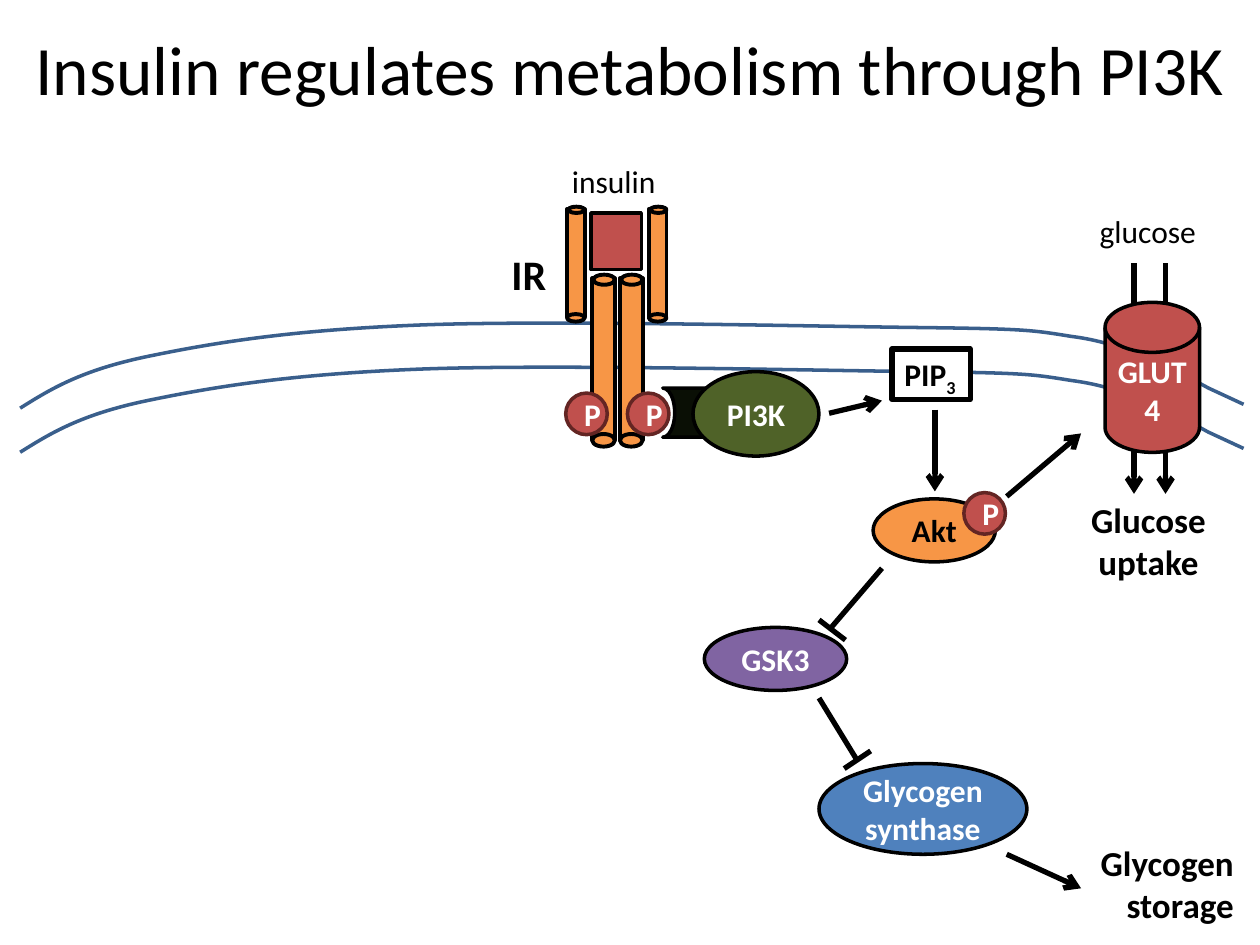
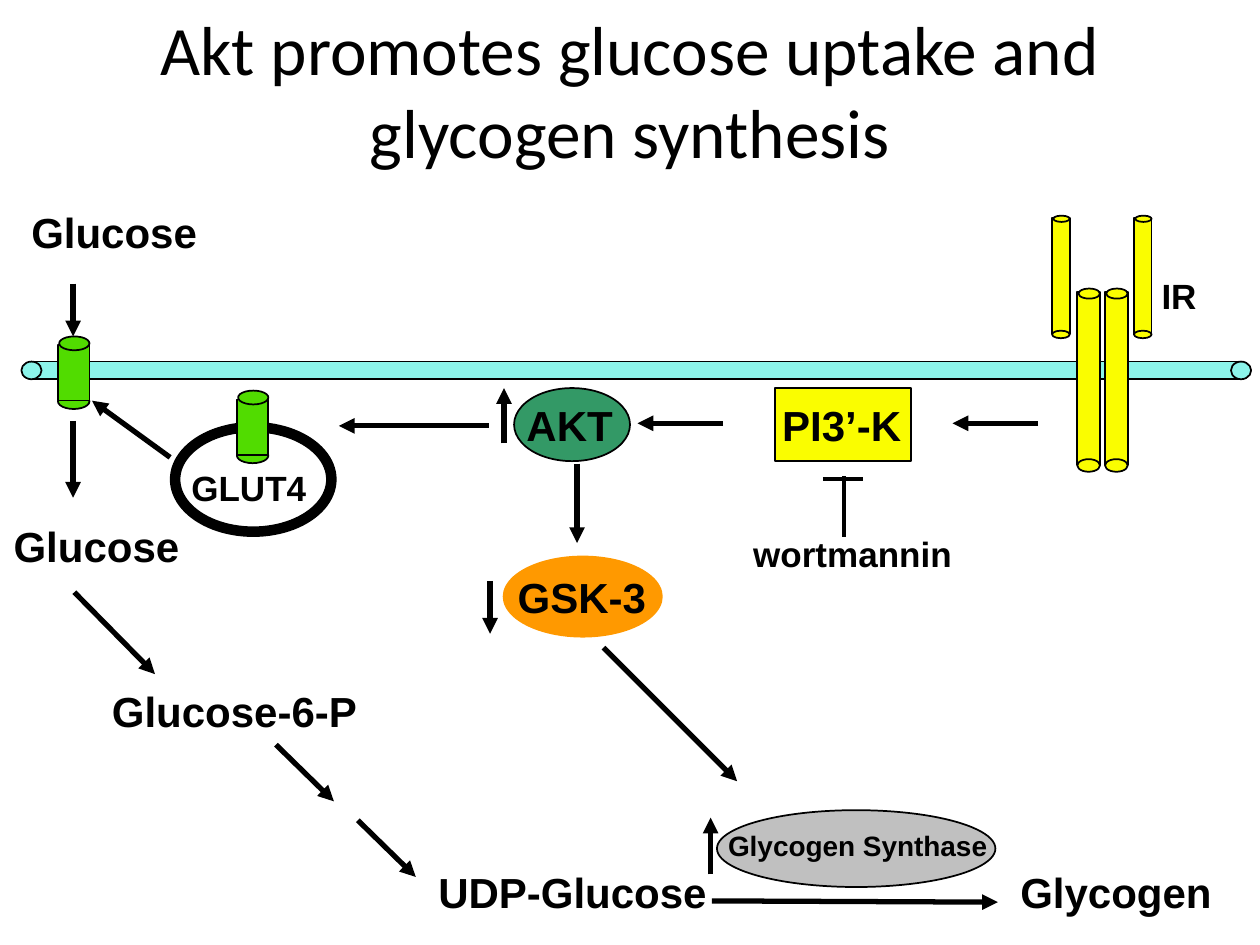
from lxml import etree
from pptx import Presentation
from pptx.dml.color import RGBColor
from pptx.enum.shapes import MSO_CONNECTOR, MSO_SHAPE as SHAPE
from pptx.enum.text import MSO_ANCHOR as ANCHOR, MSO_AUTO_SIZE as AUTO, PP_ALIGN as ALIGN
from pptx.oxml.ns import qn
from pptx.util import Inches, Pt

BLACK = RGBColor(0x00, 0x00, 0x00)
WHITE = RGBColor(0xFF, 0xFF, 0xFF)
RED = RGBColor(0xC0, 0x50, 0x4D)
DARK_RED = RGBColor(0x63, 0x25, 0x23)
ORANGE = RGBColor(0xF7, 0x96, 0x46)
PURPLE = RGBColor(0x80, 0x64, 0xA2)
BLUE = RGBColor(0x4F, 0x81, 0xBD)
MEMBRANE_BLUE = RGBColor(0x3A, 0x5F, 0x8C)
OLIVE = RGBColor(0x4F, 0x62, 0x28)
DARK_OLIVE = RGBColor(0x0A, 0x0F, 0x05)
YELLOW = RGBColor(0xFA, 0xFD, 0x00)
GREEN = RGBColor(0x51, 0xDC, 0x00)
SEA_GREEN = RGBColor(0x33, 0x99, 0x66)
AQUA = RGBColor(0x8C, 0xF4, 0xEA)
AMBER = RGBColor(0xFF, 0x99, 0x00)
GREY = RGBColor(0xC0, 0xC0, 0xC0)

# Upper membrane edge: start point, then cubic segments (two controls, end)
MEMBRANE_START = (0.16, 3.24)
MEMBRANE_CURVES = [
    ((0.4, 3.09), (0.64, 2.94), (1.17, 2.83)),
    ((1.7, 2.72), (2.31, 2.62), (3.33, 2.58)),
    ((4.35, 2.54), (6.42, 2.59), (7.28, 2.6)),
    ((8.14, 2.61), (8.19, 2.62), (8.5, 2.67)),
    ((8.81, 2.71), (8.96, 2.79), (9.14, 2.86)),
    ((9.32, 2.93), (9.59, 3.08), (9.59, 3.08)),
]
MEMBRANE_END = (9.87, 3.21)
MEMBRANE_GAP = 0.35


def write(sp, text, size, font="Calibri", bold=True, color=BLACK,
          align=ALIGN.CENTER, anchor=ANCHOR.MIDDLE, wrap=True, grow=False):
    """Put one formatted run into a shape and return the run."""
    tf = sp.text_frame
    frame = {"word_wrap": wrap, "vertical_anchor": anchor,
             "auto_size": AUTO.SHAPE_TO_FIT_TEXT if grow else AUTO.NONE}
    for name, value in frame.items():
        setattr(tf, name, value)
    p = tf.paragraphs[0]
    p.alignment = align
    r = p.add_run()
    r.text = text
    for name, value in {"name": font, "size": Pt(size), "bold": bold}.items():
        setattr(r.font, name, value)
    r.font.color.rgb = color
    return r


def add_text(s, box, text, size, align=ALIGN.LEFT, wrap=False, **fmt):
    """Add a label whose box grows with its text."""
    sp = s.shapes.add_textbox(*map(Inches, box))
    write(sp, text, size, align=align, anchor=ANCHOR.TOP, wrap=wrap, grow=True, **fmt)


def add_title(s, box, text):
    """Add the slide title."""
    write(s.shapes.add_textbox(*map(Inches, box)), text, 39.6, bold=False)


def add_shape(shapes, kind, box, fill, line=BLACK, weight=2.0):
    """Add a flat preset shape; line None leaves out the outline."""
    sp = shapes.add_shape(kind, *map(Inches, box))
    sp.shadow.inherit = False
    sp.fill.solid()
    sp.fill.fore_color.rgb = fill
    if line is None:
        sp.line.fill.background()
    else:
        sp.line.color.rgb = line
        sp.line.width = Pt(weight)
    return sp


def add_line(s, x1, y1, x2, y2, head=None, weight=3):
    """Add a straight black line, with an arrowhead type at its end if given."""
    c = s.shapes.add_connector(MSO_CONNECTOR.STRAIGHT, *map(Inches, (x1, y1, x2, y2)))
    c.line.color.rgb = BLACK
    c.line.width = Pt(weight)
    if head:
        etree.SubElement(c.line._get_or_add_ln(), qn("a:tailEnd"), type=head)
    etree.SubElement(c._element.spPr, qn("a:effectLst"))


def add_phosphate(s, x, y):
    """Add a round P mark."""
    sp = add_shape(s.shapes, SHAPE.FLOWCHART_CONNECTOR, (x, y, 0.33, 0.33), RED, DARK_RED)
    write(sp, "P", 18, color=WHITE)


def add_cylinder(shapes, x, y, w, h, lid, foot, lift, fill, weight, foot_behind=False):
    """Add an upright cylinder: a body with a lid and a foot ellipse."""
    body = (SHAPE.RECTANGLE, (x, y, w, h))
    bottom = (SHAPE.OVAL, (x, y + h - 0.45 * foot, w, foot))
    top = (SHAPE.OVAL, (x + 0.01, y - lift, w - 0.01, lid))
    order = (bottom, body, top) if foot_behind else (body, top, bottom)
    for kind, box in order:
        add_shape(shapes, kind, box, fill, weight=weight)


def add_receptor(s, x, y, stretch, fill, weight):
    """Add the insulin receptor: two inner and two outer chains."""
    shapes = s.shapes.add_group_shape().shapes
    for dx in (0, 0.22):
        add_cylinder(shapes, x + dx, y, 0.18, 1.28 * stretch, 0.08, 0.1, 0.03, fill, weight)
    for dx in (-0.2, 0.45):
        add_cylinder(shapes, x + dx, y - 0.55 * stretch, 0.14, 0.86 * stretch,
                     0.05, 0.06, 0.02, fill, weight)


def add_transporter(shapes, x, y):
    """Add a green glucose transporter."""
    add_cylinder(shapes, x, y, 0.25, 0.44, 0.11, 0.12, 0.07, GREEN, 1, foot_behind=True)


def add_membrane_edge(s, dy):
    """Add one curved edge of the cell membrane, moved down by dy."""
    def place(point):
        return Inches(point[0]), Inches(point[1] + dy)

    builder = s.shapes.build_freeform(*place(MEMBRANE_START))
    ends = [curve[-1] for curve in MEMBRANE_CURVES] + [MEMBRANE_END]
    builder.add_line_segments([place(end) for end in ends], close=False)
    sp = builder.convert_to_shape()
    # Turn the straight segments into cubic curves; the last one stays straight
    segments = list(sp._element.iter(qn("a:lnTo")))
    for segment, curve in zip(segments, MEMBRANE_CURVES):
        segment.tag = qn("a:cubicBezTo")
        for i, control in enumerate(curve[:2]):
            x, y = place(control)
            pt = etree.Element(qn("a:pt"), x=str(x - sp.left), y=str(y - sp.top))
            segment.insert(i, pt)
    sp.shadow.inherit = False
    sp.fill.background()
    sp.line.color.rgb = MEMBRANE_BLUE
    sp.line.width = Pt(2)


def add_protein(s, box, text, fill, color=WHITE, kind=SHAPE.OVAL):
    """Add a named protein of the signalling pathway."""
    write(add_shape(s.shapes, kind, box, fill), text, 18, color=color)


def build_signalling(s):
    """Slide 1: from the insulin receptor to uptake and storage."""
    for x in (9.25, 9):
        add_line(s, x, 2.09, x, 3.92, "arrow")
    add_title(s, (0, -0.09, 10, 1.25), "Insulin regulates metabolism through PI3K")
    for dy in (MEMBRANE_GAP, 0):
        add_membrane_edge(s, dy)

    add_text(s, (3.96, 1.92, 0.48, 0.5), "IR", 24)
    add_shape(s.shapes, SHAPE.RECTANGLE, (4.69, 1.69, 0.4, 0.45), RED)
    add_text(s, (4.44, 1.24, 0.89, 0.4), "insulin", 18, bold=False)
    adaptor = add_shape(s.shapes, SHAPE.FLOWCHART_STORED_DATA,
                        (5.26, 3.08, 0.57, 0.39), DARK_OLIVE)
    adaptor.rotation = 180
    add_protein(s, (5.5, 2.95, 1, 0.67), "PI3K", OLIVE)

    pip = add_shape(s.shapes, SHAPE.RECTANGLE, (7.08, 2.77, 0.62, 0.4), WHITE, weight=3)
    label = {"align": ALIGN.LEFT, "anchor": ANCHOR.TOP, "wrap": False, "grow": True}
    write(pip, "PIP", 18, **label)
    subscript = write(pip, "3", 18, **label)
    subscript.font._element.set("baseline", "-25000")

    add_line(s, 6.58, 3.28, 7, 3.18, "arrow")
    add_line(s, 7.42, 3.25, 7.42, 3.9, "arrow")
    add_protein(s, (6.93, 3.96, 0.97, 0.5), "Akt", ORANGE, BLACK)
    add_phosphate(s, 7.65, 3.91)
    add_line(s, 7.99, 3.94, 8.58, 3.44, "arrow")
    add_protein(s, (8.77, 2.4, 0.75, 1.19), "GLUT4", RED, kind=SHAPE.FLOWCHART_MAGNETIC_DISK)
    add_text(s, (8.63, 1.63, 0.97, 0.4), "glucose", 18, bold=False)

    add_receptor(s, 4.7, 2.21, 1, ORANGE, 2.25)
    for x in (4.49, 4.98):
        add_phosphate(s, x, 3.12)

    add_text(s, (8.47, 3.91, 1.29, 0.77), "Glucose uptake", 20, ALIGN.CENTER, True)
    add_line(s, 7, 4.51, 6.58, 5)
    add_protein(s, (5.59, 4.98, 1.13, 0.5), "GSK3", PURPLE)
    add_line(s, 6.5, 5.54, 6.8, 6.03)
    add_protein(s, (6.5, 6.06, 1.65, 0.72), "Glycogen synthase", BLUE)
    add_text(s, (8.17, 6.63, 1.72, 0.77), "Glycogen storage", 20, ALIGN.RIGHT, True)
    add_line(s, 7.99, 6.78, 8.58, 7.05, "arrow")
    add_line(s, 6.5, 4.92, 6.71, 5.08)
    add_line(s, 6.7, 6.1, 6.91, 5.96)


def build_synthesis(s):
    """Slide 2: Akt acting on glucose transport and glycogen synthesis."""
    add_title(s, (0.5, 0.08, 9, 1.25), "Akt promotes glucose uptake and glycogen synthesis")

    vesicle = s.shapes.add_group_shape().shapes
    add_shape(vesicle, SHAPE.OVAL, (1.39, 3.39, 1.24, 0.83), WHITE, weight=6)
    add_transporter(vesicle, 1.88, 3.17)

    membrane = s.shapes.add_group_shape().shapes
    add_shape(membrane, SHAPE.RECTANGLE, (0.25, 2.87, 9.58, 0.14), AQUA, weight=1)
    for x in (0.17, 9.77):
        add_shape(membrane, SHAPE.OVAL, (x, 2.87, 0.16, 0.14), AQUA, weight=1)
    add_receptor(s, 8.55, 2.32, 1.07, YELLOW, 1)
    add_transporter(s.shapes.add_group_shape().shapes, 0.46, 2.74)

    for kind, box, fill, line in [
        (SHAPE.OVAL, (4.08, 3.08, 0.92, 0.58), SEA_GREEN, BLACK),
        (SHAPE.OVAL, (5.69, 6.43, 2.21, 0.61), GREY, BLACK),
        (SHAPE.OVAL, (3.99, 4.41, 1.27, 0.65), AMBER, None),
        (SHAPE.RECTANGLE, (6.15, 3.08, 1.08, 0.58), YELLOW, BLACK),
    ]:
        add_shape(s.shapes, kind, box, fill, line, 1)

    for ends in [
        (0.58, 2.25, 0.58, 2.67),   # glucose into the transporter
        (0.58, 3.34, 0.58, 3.95),
        (1.35, 3.63, 0.73, 3.18),   # vesicle to the membrane
        (3.88, 3.38, 2.69, 3.38),
        (8.24, 3.36, 7.56, 3.36),   # receptor to AKT
        (5.74, 3.36, 5.06, 3.36),
        (4, 3.52, 4, 3.08),         # activity up or down
        (3.89, 4.61, 3.89, 5.03),
        (5.64, 6.94, 5.64, 6.49),
        (4.58, 3.68, 4.58, 4.31),   # AKT to glycogen synthase
        (4.79, 5.14, 5.85, 6.2),
        (0.59, 4.7, 1.23, 5.35),    # glucose to glycogen
        (2.19, 5.91, 2.65, 6.36),
        (2.84, 6.51, 3.3, 6.96),
        (5.65, 7.15, 7.92, 7.16),
    ]:
        add_line(s, *ends, head="triangle")
    add_line(s, 6.7, 3.78, 6.7, 4.26, weight=2)
    add_line(s, 6.53, 3.8, 6.85, 3.8, weight=2)

    for box, text, size in [
        ((0.15, 1.59, 1.53, 0.5), "Glucose", 24),
        ((0.01, 4.08, 1.53, 0.5), "Glucose", 24),
        ((0.79, 5.39, 2.16, 0.5), "Glucose-6-P", 24),
        ((3.38, 6.83, 2.35, 0.5), "UDP-Glucose", 24),
        ((8, 6.83, 1.73, 0.5), "Glycogen", 24),
        ((1.42, 3.65, 1.12, 0.43), "GLUT4", 20),
        ((9.12, 2.13, 0.48, 0.43), "IR", 20),
        ((5.88, 4.18, 1.8, 0.43), "wortmannin", 20),
        ((5.68, 6.53, 2.28, 0.37), "Glycogen Synthase", 16),
    ]:
        add_text(s, box, text, size, font="Arial")
    for box, text in [
        ((4.08, 3.12, 1.08, 0.5), "AKT"),
        ((4.01, 4.49, 1.25, 0.5), "GSK-3"),
        ((6.11, 3.12, 1.3, 0.5), "PI3’-K"),
    ]:
        add_text(s, box, text, 24, wrap=True, font="Arial")


def main():
    """Build both slides and save the file."""
    prs = Presentation()
    prs.slide_width, prs.slide_height = Inches(10), Inches(7.5)
    for build in (build_signalling, build_synthesis):
        build(prs.slides.add_slide(prs.slide_layouts[6]))
    prs.save("out.pptx")


main()
